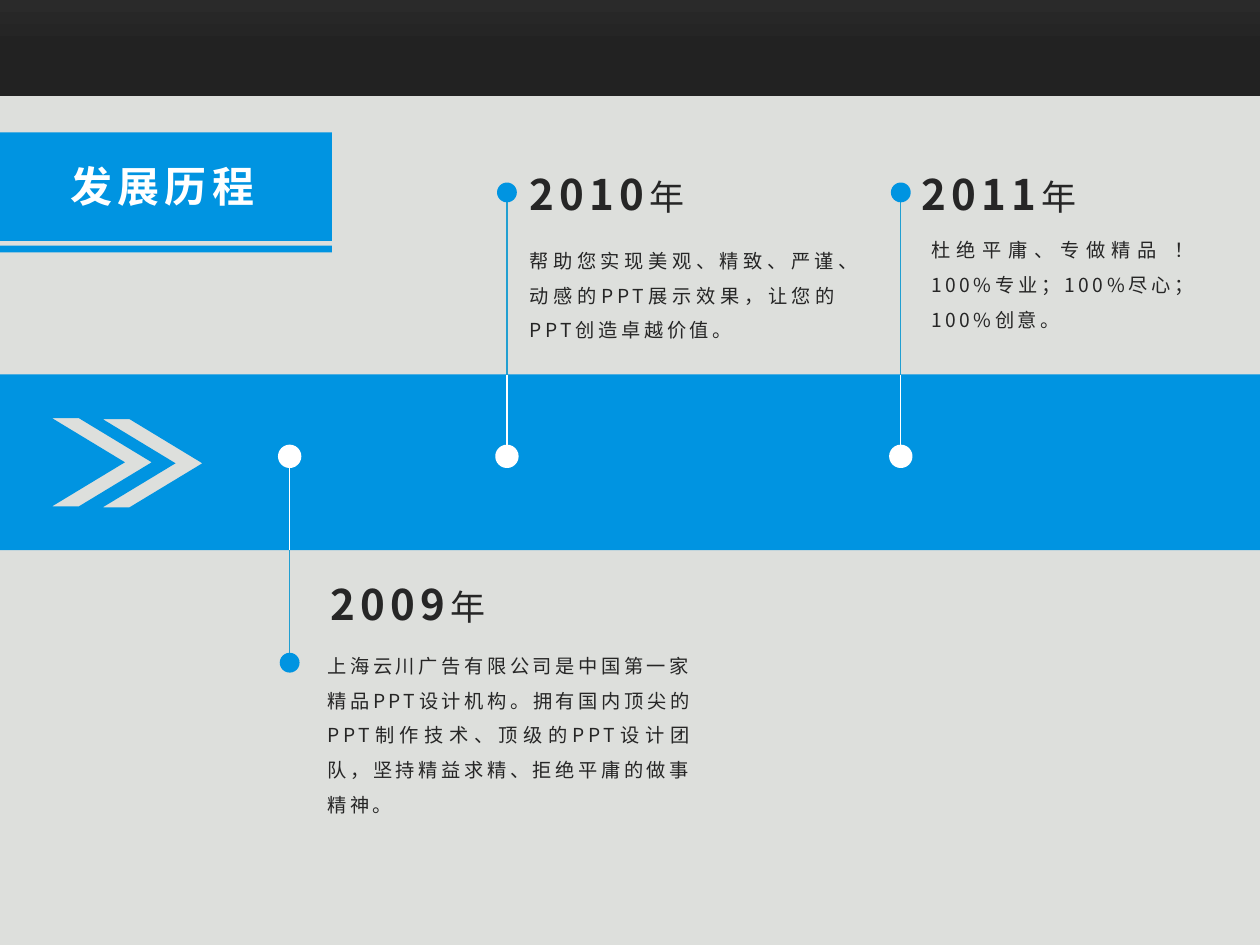
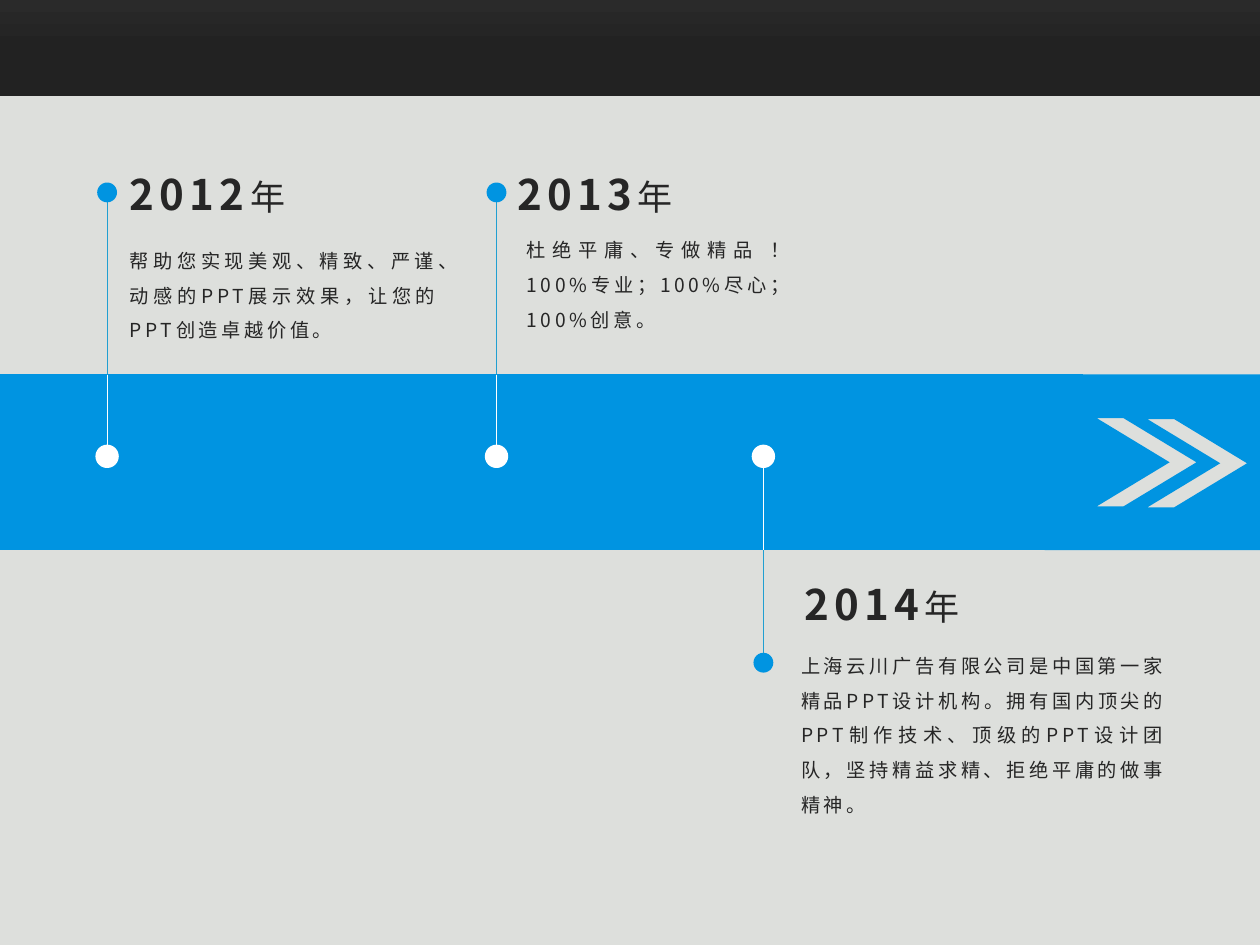
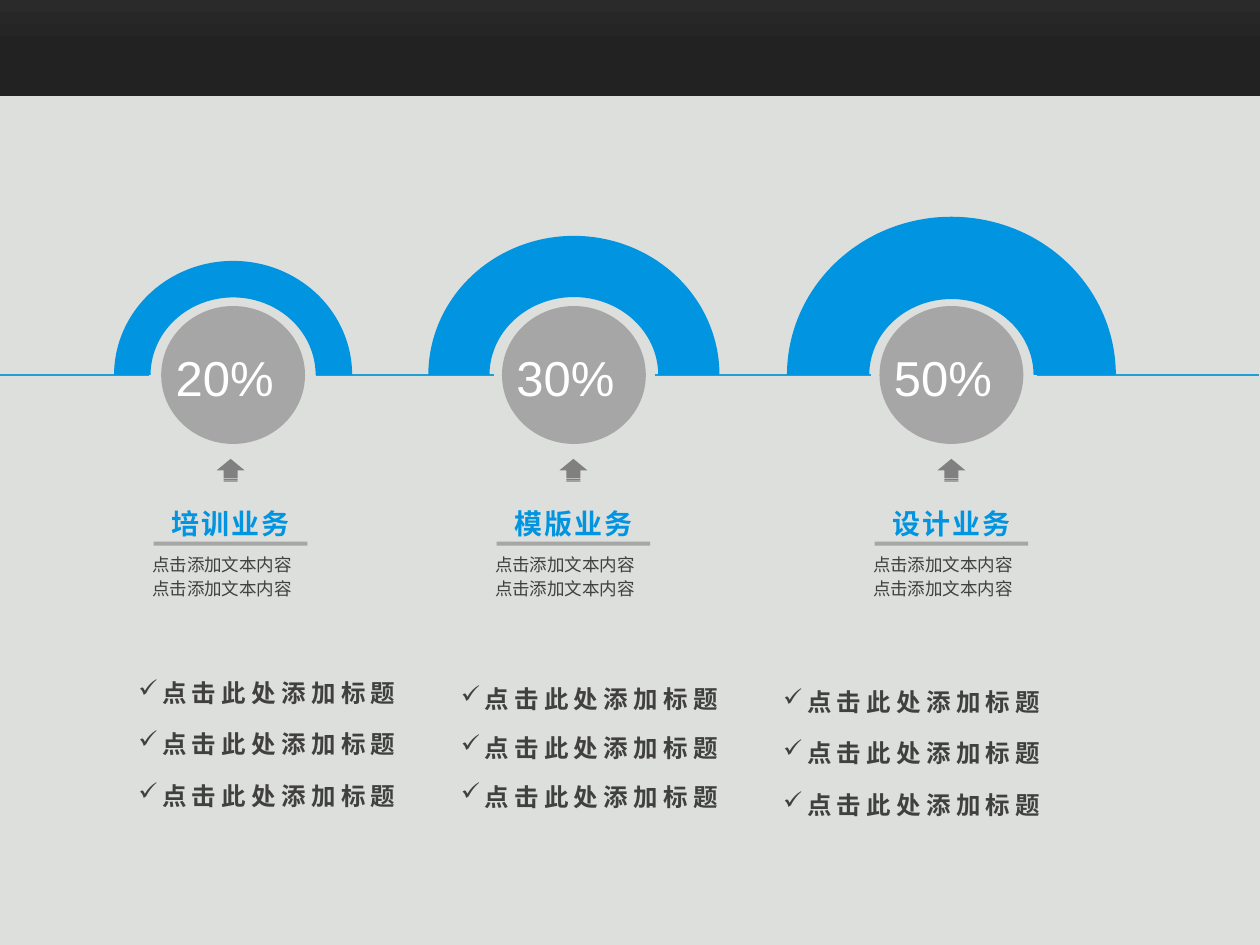
"""Build three slides: a two-part company timeline and a business share overview."""
from pptx import Presentation
from pptx.dml.color import RGBColor
from pptx.enum.shapes import MSO_CONNECTOR, MSO_SHAPE
from pptx.enum.text import MSO_AUTO_SIZE, PP_ALIGN
from pptx.oxml.xmlchemy import OxmlElement
from pptx.util import Cm, Pt

COLORS = {
    "background": "DDDFDC",
    "header_top": "2A2A2A",
    "header_bottom": "222222",
    "blue": "0094E1",
    "line_blue": "219FD1",
    "white": "FFFFFF",
    "ink": "262626",
    "text_gray": "404040",
    "arrow_gray": "808080",
    "gray": "A6A6A6",
}
FONT = "Noto Sans CJK SC"


def add_shape(slide, kind, left, top, width, height, color, outline=None):
    shape = slide.shapes.add_shape(kind, Cm(left), Cm(top), Cm(width), Cm(height))
    shape.shadow.inherit = False
    shape.fill.solid()
    shape.fill.fore_color.rgb = RGBColor.from_string(COLORS[color])
    if outline:
        shape.line.color.rgb = RGBColor.from_string(COLORS[color])
        shape.line.width = Pt(outline)
    else:
        shape.line.fill.background()
    return shape


def add_text(slide, text, left, top, width, height, *, size, color, font=FONT, bold=False,
             spacing=0, align=PP_ALIGN.LEFT, line_spacing=None, wrap=False, bullet=None,
             unit=None, unit_size=None):
    box = slide.shapes.add_textbox(Cm(left), Cm(top), Cm(width), Cm(height))
    frame = box.text_frame
    frame.word_wrap = wrap
    frame.auto_size = MSO_AUTO_SIZE.SHAPE_TO_FIT_TEXT
    paragraph = frame.paragraphs[0]
    if bullet:
        properties = paragraph._p.get_or_add_pPr()
        properties.set("marL", str(Cm(0.48)))
        properties.set("indent", str(-Cm(0.48)))
        mark = OxmlElement("a:buChar")
        mark.set("char", bullet)
        properties.append(mark)
    paragraph.alignment = align
    if line_spacing:
        paragraph.line_spacing = line_spacing
    runs = [(text, size, bold)]
    if unit:
        runs.append((unit, unit_size, False))
    for run_text, run_size, run_bold in runs:
        run = paragraph.add_run()
        run.text = run_text
        run.font.size = Pt(run_size)
        run.font.bold = run_bold
        run.font.name = font
        run.font.color.rgb = RGBColor.from_string(COLORS[color])
        run_properties = run._r.get_or_add_rPr()
        run_properties.set("spc", str(round(spacing * 100)))
        east_asian = OxmlElement("a:ea")
        east_asian.set("typeface", font)
        run_properties.append(east_asian)


presentation = Presentation()
presentation.slide_width = Cm(25.4)
presentation.slide_height = Cm(19.05)
master_fill = presentation.slide_master.background.fill
master_fill.solid()
master_fill.fore_color.rgb = RGBColor.from_string(COLORS["background"])

slides = []
for _ in range(3):
    slide = presentation.slides.add_slide(presentation.slide_layouts[6])
    header = add_shape(slide, MSO_SHAPE.RECTANGLE, 0, 0, 25.4, 1.93, "header_top")
    header.fill.gradient()
    header.fill.gradient_angle = 270
    stops = header.fill.gradient_stops
    stops[0].color.rgb = RGBColor.from_string(COLORS["header_top"])
    stops[1].color.rgb = RGBColor.from_string(COLORS["header_bottom"])
    stops[1].position = 0.5
    slides.append(slide)
early_years, late_years, business = slides

BAND_TOP, BAND_BOTTOM = 7.55, 11.09
CHEVRON = [(0, 0), (1.47, 0.89), (0, 1.78), (0.54, 1.78), (2.01, 0.89), (0.54, 0)]
bands = [
    (early_years, 0, 25.4, [(2.07, 8.45), (1.05, 8.43)]),
    (late_years, 21.06, 25.4, [(23.13, 8.45), (22.11, 8.43)]),
    (late_years, 0, 21.84, []),
]
for slide, left, right, chevrons in bands:
    outlines = [[(left, BAND_TOP), (right, BAND_TOP), (right, BAND_BOTTOM), (left, BAND_BOTTOM)]]
    for chevron_left, chevron_top in chevrons:
        outlines.append([(chevron_left + x, chevron_top + y) for x, y in CHEVRON])
    builder = None
    for outline in outlines:
        points = [(Cm(x), Cm(y)) for x, y in outline]
        if builder is None:
            builder = slide.shapes.build_freeform(*points[0])
        else:
            builder.move_to(*points[0])
        builder.add_line_segments(points[1:], close=True)
    band = builder.convert_to_shape()
    band.shadow.inherit = False
    band.fill.solid()
    band.fill.fore_color.rgb = RGBColor.from_string(COLORS["blue"])
    band.line.fill.background()

STORIES = {
    "company": dict(
        text="上海云川广告有限公司是中国第一家精品PPT设计机构。拥有国内顶尖的PPT制作技术、"
             "顶级的PPT设计团队，坚持精益求精、拒绝平庸的做事精神。",
        year_shift=0.58, year_top=11.53, body_shift=0.51, body_top=12.83, width=7.87,
        dot=13.36),
    "value": dict(
        text="帮助您实现美观、精致、严谨、动感的PPT展示效果，让您的PPT创造卓越价值。",
        year_shift=0.21, year_top=3.28, body_shift=0.21, body_top=4.67, width=6.73,
        dot=3.88),
    "promise": dict(
        text="杜绝平庸、专做精品 ！100%专业；100%尽心；100%创意。",
        year_shift=0.17, year_top=3.28, body_shift=0.36, body_top=4.45, width=5.87,
        dot=3.88),
}
milestones = [
    (early_years, 5.84, "2009", "company"),
    (early_years, 10.22, "2010", "value"),
    (early_years, 18.16, "2011", "promise"),
    (late_years, 2.16, "2012", "value"),
    (late_years, 10.01, "2013", "promise"),
    (late_years, 15.39, "2014", "company"),
]
BAND_DOT = 9.2
BASELINE = 7.56

lines = [(business, start, BASELINE, end, BASELINE, "line_blue")
         for start, end in [(0, 3), (20.9, 25.38), (13.21, 17.55), (6.38, 9.96)]]
for slide, x, year, story_name in milestones:
    dot = STORIES[story_name]["dot"]
    edge = BAND_TOP if dot < BAND_TOP else BAND_BOTTOM
    lines.append((slide, x, BAND_DOT, x, edge, "white"))
    lines.append((slide, x, edge, x, dot, "line_blue"))
for slide, start_x, start_y, end_x, end_y, color in lines:
    connector = slide.shapes.add_connector(
        MSO_CONNECTOR.STRAIGHT, Cm(start_x), Cm(start_y), Cm(end_x), Cm(end_y))
    connector.line.color.rgb = RGBColor.from_string(COLORS[color])
    connector.line.width = Pt(0.75)
    connector._element.spPr.append(OxmlElement("a:effectLst"))

DOT_SIZE = 0.4
for slide, x, year, story_name in milestones:
    story = STORIES[story_name]
    for center, color, outline in [(BAND_DOT, "white", 2), (story["dot"], "blue", None)]:
        add_shape(slide, MSO_SHAPE.OVAL, x - DOT_SIZE / 2, center - DOT_SIZE / 2,
                  DOT_SIZE, DOT_SIZE, color, outline)
    add_text(slide, year, x + story["year_shift"], story["year_top"], 3.86, 1.27,
             size=24, color="ink", bold=True, spacing=3, unit="年", unit_size=20)
    add_text(slide, story["text"], x + story["body_shift"], story["body_top"],
             story["width"], 2.36, size=11, color="ink", spacing=2,
             align=PP_ALIGN.JUSTIFY, line_spacing=1.5, wrap=True)

add_shape(early_years, MSO_SHAPE.RECTANGLE, 0, 2.67, 6.69, 2.19, "blue")
add_shape(early_years, MSO_SHAPE.RECTANGLE, 0, 4.95, 6.69, 0.14, "blue")
add_text(early_years, "发展历程", 1.17, 3.12, 4.37, 1.27,
         size=24, color="white", bold=True, spacing=3)

services = [
    ("培训业务", "20%", 4.7, 4.65, 4.8, 4.6, 0.16),
    ("模版业务", "30%", 11.57, 11.56, 5.87, 5.61, 0.22),
    ("设计业务", "50%", 19.18, 19.18, 6.63, 6.38, 0.26),
]
for name, share, center, label_center, width, height, thickness in services:
    arc = add_shape(business, MSO_SHAPE.BLOCK_ARC, center - width / 2,
                    BASELINE - height / 2, width, height, "blue")
    for index, value in enumerate([108, 0, thickness]):
        arc.adjustments[index] = value
    add_shape(business, MSO_SHAPE.OVAL, center - 1.45, BASELINE - 1.39, 2.9, 2.78, "gray")
    add_text(business, share, center - 1.41, 6.88, 2.51, 1.45,
             size=28, color="white", font="Arial")
    arrow = add_shape(business, MSO_SHAPE.STRIPED_RIGHT_ARROW,
                      label_center - 0.23, 9.2, 0.46, 0.56, "arrow_gray")
    arrow.rotation = 270
    add_text(business, name, label_center - 1.49, 10.08, 2.97, 0.94,
             size=16, color="blue", bold=True, spacing=1.2, align=PP_ALIGN.CENTER)
    add_shape(business, MSO_SHAPE.RECTANGLE, label_center - 1.55, 10.92, 3.1, 0.08, "gray")
    for top in (11.05, 11.53):
        add_text(business, "点击添加文本内容", label_center - 1.83, top, 4.19, 0.69,
                 size=10, color="text_gray", wrap=True)

for column, (first_top, step) in enumerate([(13.54, 1.04), (13.67, 0.98), (13.72, 1.04)]):
    for row in range(3):
        add_text(business, "点击此处添加标题", 2.54 + column * 6.5, first_top + row * step,
                 5.84, 0.86, size=14, color="text_gray", bold=True, spacing=3, bullet="✓")

presentation.save("out.pptx")
